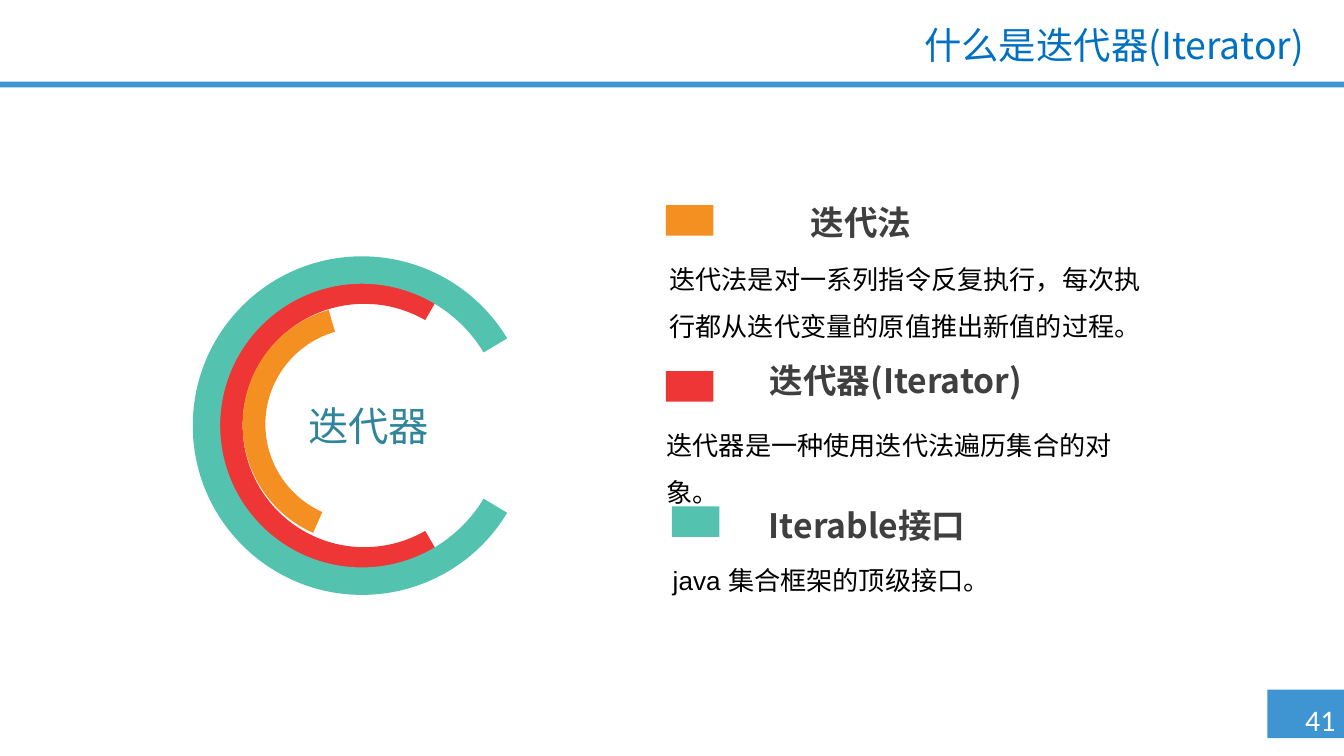
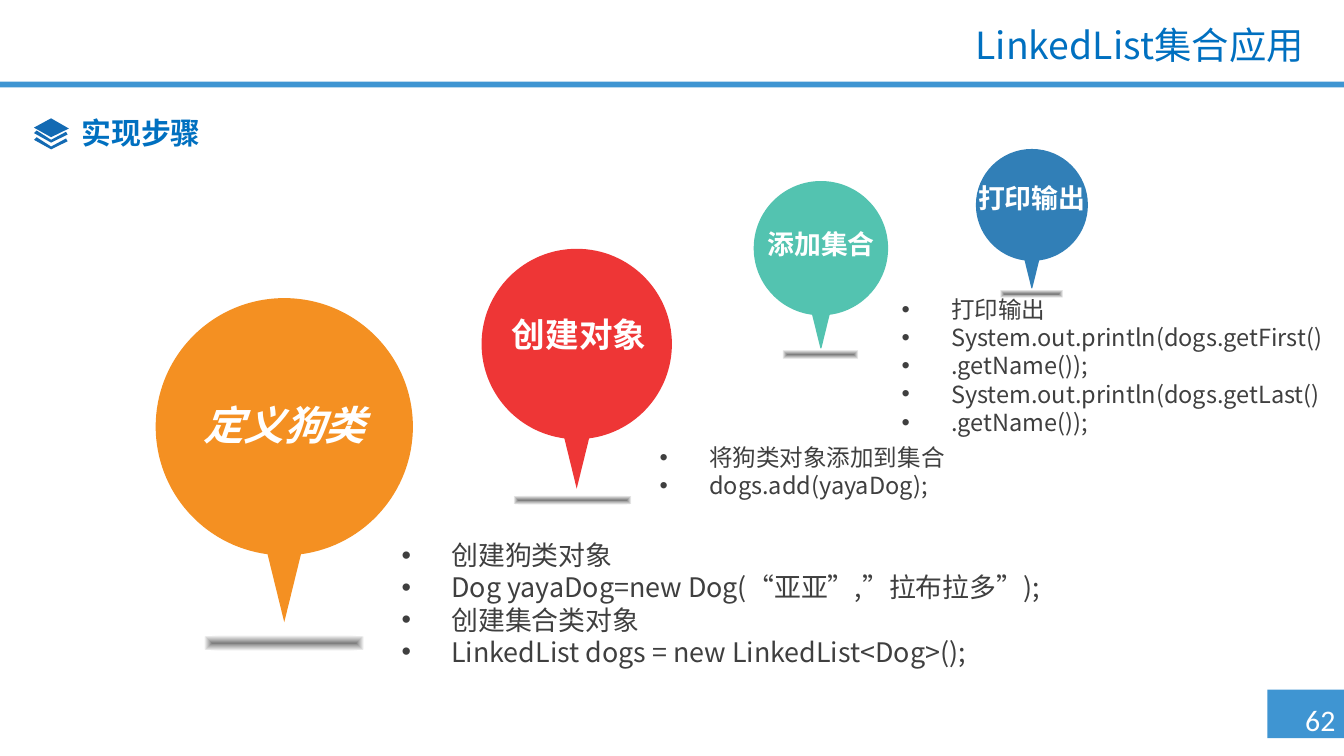
from math import asin, cos, degrees, radians, sin, tan

from lxml.etree import SubElement
from pptx import Presentation
from pptx.dml.color import RGBColor
from pptx.enum.shapes import MSO_SHAPE as Shape
from pptx.enum.text import MSO_ANCHOR as Anchor, PP_ALIGN as Align
from pptx.oxml import parse_xml
from pptx.oxml.ns import nsdecls, qn
from pptx.util import Pt

HAN = "Noto Sans CJK SC"
BAND, TITLE, ICON = "3F95D2", "0070C0", "136AB3"
ORANGE, RED, TEAL, BLUE = "F49022", "EE3636", "53C3B0", "317FB7"
WHITE, BLACK, GREY, HUB = "FFFFFF", "000000", "3F3F3F", "31859B"

SHADE = f"""<a:gradFill {nsdecls("a")} rotWithShape="1"><a:gsLst>
<a:gs pos="0"><a:srgbClr val="7F7F7F"/></a:gs>
<a:gs pos="80000"><a:srgbClr val="FFFFFF"/></a:gs>
<a:gs pos="100000"><a:srgbClr val="FFFFFF"/></a:gs></a:gsLst>
<a:path path="rect"><a:fillToRect l="50000" t="50000" r="50000" b="50000"/></a:path>
</a:gradFill>"""


def color(hex_code):
    """Turn a hex string into a colour."""
    return RGBColor.from_string(hex_code)


def paint(shape, fill):
    """Give a shape a flat fill without outline or shadow."""
    shape.shadow.inherit = False
    shape.fill.solid()
    shape.fill.fore_color.rgb = color(fill)
    shape.line.fill.background()


def add_block(slide, box, fill):
    """Add a flat rectangle."""
    paint(slide.shapes.add_shape(Shape.RECTANGLE, *map(Pt, box)), fill)


def add_outline(slide, start, steps, fill):
    """Add a closed flat outline; a step holds one point, or three for a curve."""
    builder = slide.shapes.build_freeform(*map(Pt, start))
    builder.add_line_segments([tuple(map(Pt, step[-1])) for step in steps], close=True)
    outline = builder.convert_to_shape()
    for segment, step in zip(list(outline._element.iter(qn("a:lnTo"))), steps):
        if len(step) == 3:
            segment.tag = qn("a:cubicBezTo")
            for order, (x, y) in enumerate(step[:2]):
                handle = SubElement(segment, qn("a:pt"), x=str(Pt(x) - outline.left),
                                    y=str(Pt(y) - outline.top))
                segment.insert(order, handle)
    paint(outline, fill)


def on_circle(center, radius, angle):
    """Find a point on a circle, with the angle clockwise from the right."""
    turn = radians(angle)
    return center[0] + radius * cos(turn), center[1] + radius * sin(turn)


def arc(center, radius, angles):
    """List the curve steps of an arc that passes through the angles."""
    steps = []
    for first, last in zip(angles, angles[1:]):
        reach = 4 / 3 * tan(radians(last - first) / 4)
        (x1, y1), (x2, y2) = (on_circle(center, radius, a) for a in (first, last))
        steps.append([
            (x1 - reach * (y1 - center[1]), y1 + reach * (x1 - center[0])),
            (x2 + reach * (y2 - center[1]), y2 - reach * (x2 - center[0])),
            (x2, y2),
        ])
    return steps


def add_ring(slide, center, outer, inner, angles, fill):
    """Add an open ring."""
    back = angles[::-1]
    steps = [*arc(center, inner, angles), [on_circle(center, outer, back[0])],
             *arc(center, outer, back)]
    add_outline(slide, on_circle(center, inner, angles[0]), steps, fill)


def add_bullet(paragraph):
    """Give a paragraph a hanging round bullet."""
    properties = paragraph._p.get_or_add_pPr()
    properties.set("marL", str(Pt(26.6)))
    properties.set("indent", str(-Pt(26.6)))
    SubElement(properties, qn("a:buFont"), typeface="Arial")
    SubElement(properties, qn("a:buChar"), char="•")


def add_text(slide, box, lines, size, ink, align=Align.LEFT, wrap=True,
             spacing=None, bold=None, italic=None, font=HAN,
             anchor=Anchor.TOP, bullets=False):
    """Add text; a line is a string or a list of (text, font) runs."""
    frame = slide.shapes.add_textbox(*map(Pt, box)).text_frame
    frame.word_wrap = wrap
    frame.vertical_anchor = anchor
    style = {"size": Pt(size), "bold": bold, "italic": italic}
    for index, line in enumerate(lines):
        paragraph = frame.add_paragraph() if index else frame.paragraphs[0]
        if bullets:
            add_bullet(paragraph)
        for key, value in {"alignment": align, "line_spacing": spacing}.items():
            setattr(paragraph, key, value)
        for words, face in [(line, font)] if isinstance(line, str) else line:
            run = paragraph.add_run()
            run.text = words
            for key, value in {**style, "name": face}.items():
                setattr(run.font, key, value)
            run.font.color.rgb = color(ink)
            SubElement(run._r.get_or_add_rPr(), qn("a:ea"), typeface=HAN)


def add_page(deck, title, number):
    """Add a slide with its band, page number and title."""
    slide = deck.slides.add_slide(deck.slide_layouts[6])
    add_block(slide, (679, 369.5, 41, 26), BAND)
    add_block(slide, (0, 43.8, 720, 3), BAND)
    add_text(slide, (690.4, 372.2, 37.4, 26.6), [f"{number} "], 16, WHITE,
             Align.CENTER, wrap=False, font="Calibri")
    add_text(slide, (172.8, 10.8, 532.8, 28.8), [title], 20, TITLE,
             Align.RIGHT, spacing=0.9, anchor=Anchor.MIDDLE)
    return slide


def add_term(slide, key, heading_box, heading, note_box, note, fill, align=Align.LEFT):
    """Add a colour key with a heading and an explanation."""
    add_block(slide, (*key, 25.4, 16.4), fill)
    add_text(slide, note_box, [note], 14, BLACK, align, spacing=1.5, font="Arial")
    add_text(slide, heading_box, [heading], 18, GREY, Align.CENTER, bold=True)


def add_balloon(slide, center, radius, fill, ground, label, label_box, size, italic=None):
    """Add a labelled round balloon whose tail points at a shaded ground."""
    x, y = center
    gap = degrees(asin(0.13))
    tail = [[(x, y + 1.52 * radius)], [on_circle(center, radius, 90 + gap)]]
    steps = [*arc(center, radius, [-90, 0, 90 - gap]), *tail,
             *arc(center, radius, [90 + gap, 180, 270])]
    add_outline(slide, (x, y - radius), steps, fill)
    shade = slide.shapes.add_shape(Shape.OVAL, *map(Pt, ground))
    shade.shadow.inherit = False
    shade.line.fill.background()
    shade._element.spPr.insert(2, parse_xml(SHADE))
    add_text(slide, label_box, [label], size, WHITE, Align.CENTER,
             wrap=False, bold=True, italic=italic)


def add_layers_icon(slide, x, y):
    """Add a stack of three layers."""
    chevron = [(0, 1.4), (1.4, 0), (9.2, 5), (17.2, 0.7), (18, 2.2), (9.2, 6.5)]
    diamond = [(0, 5), (9.2, 0), (18.7, 5.5), (9.2, 10.1)]
    for drop, corners in ((6.5, chevron), (10.1, chevron), (0, diamond)):
        start, *rest = [(x + dx, y + drop + dy) for dx, dy in corners]
        add_outline(slide, start, [[corner] for corner in rest], ICON)


def build_iterator(deck):
    """Build the slide that explains the iterator."""
    slide = add_page(deck, [("什么是迭代器", "Lato"), ("(Iterator)", HAN)], 41)
    add_ring(slide, (195.2, 228), 78.1, 65.2, [60, 90, 180, 270, 300], RED)
    add_ring(slide, (193.7, 227.3), 63.7, 51.5, [114, 180, 254], ORANGE)
    add_ring(slide, (194, 228), 90.7, 76, [31, 90, 180, 270, 329], TEAL)
    add_text(slide, (125.8, 211.3, 143.3, 33.1), ["迭代器"], 21.6, HUB, Align.CENTER)
    add_term(slide, (356.8, 109.9), (389.5, 104.8, 143.3, 28.8), "迭代法",
             (350, 128.9, 270, 58.3),
             "迭代法是对一系列指令反复执行，每次执行都从迭代变量的原值推出新值的过程。",
             ORANGE, Align.CENTER)
    add_term(slide, (356.8, 198.8), (399.6, 189.4, 160.6, 28.8), "迭代器(Iterator)",
             (350, 218.2, 264, 32.4), "迭代器是一种使用迭代法遍历集合的对象。", RED)
    add_term(slide, (360, 271.3), (392.9, 267.1, 143.3, 28.8), "Iterable接口",
             (353.3, 290.6, 270, 52.6), "java 集合框架的顶级接口。", TEAL)


def build_linked_list(deck):
    """Build the slide with the four LinkedList steps."""
    slide = add_page(deck, [("LinkedList", HAN), ("集合应用", "Lato")], 62)
    notes = [
        ((208.1, 285.1, 365.8, 77), 14.4,
         ["创建狗类对象", "Dog yayaDog=new Dog(“亚亚”,”拉布拉多”);",
          "创建集合类对象", "LinkedList dogs = new LinkedList<Dog>();"]),
        ((346.3, 233.8, 167.8, 37.4), 12.6, ["将狗类对象添加到集合", "dogs.add(yayaDog);"]),
        ((475.9, 154.5, 241.2, 83.5), 12.6,
         ["打印输出", "System.out.println(dogs.getFirst()", ".getName());",
          "System.out.println(dogs.getLast()", ".getName());"]),
    ]
    for box, size, lines in notes:
        add_text(slide, box, lines, size, GREY, wrap=False, bullets=True)
    add_balloon(slide, (152.3, 228.6), 68.9, ORANGE, (98.6, 339.1, 107.3, 10.8),
                "定义狗类", (101.8, 211, 100.8, 33.1), 21.6, italic=True)
    add_balloon(slide, (309, 184.3), 51, RED, (267.1, 264.7, 79.2, 6.5),
                "创建对象", (267.1, 164.4, 86.4, 28.8), 18)
    add_balloon(slide, (439.8, 133), 36, TEAL, (414, 186.7, 51.1, 6.5),
                "添加集合", (403.9, 118.5, 72, 24.5), 14.4)
    add_balloon(slide, (552.8, 109.8), 30, BLUE, (531.4, 154.5, 42.5, 5.8),
                "打印输出", (516.8, 93.6, 72, 24.5), 14.4)
    add_text(slide, (36.7, 60.3, 626.4, 28.1), ["实现步骤"], 16, TITLE,
             spacing=0.9, bold=True)
    add_layers_icon(slide, 18.2, 63.4)


def main():
    """Build and save the deck."""
    deck = Presentation()
    deck.slide_width, deck.slide_height = Pt(720), Pt(405)
    build_iterator(deck)
    build_linked_list(deck)
    deck.save("out.pptx")


if __name__ == "__main__":
    main()
